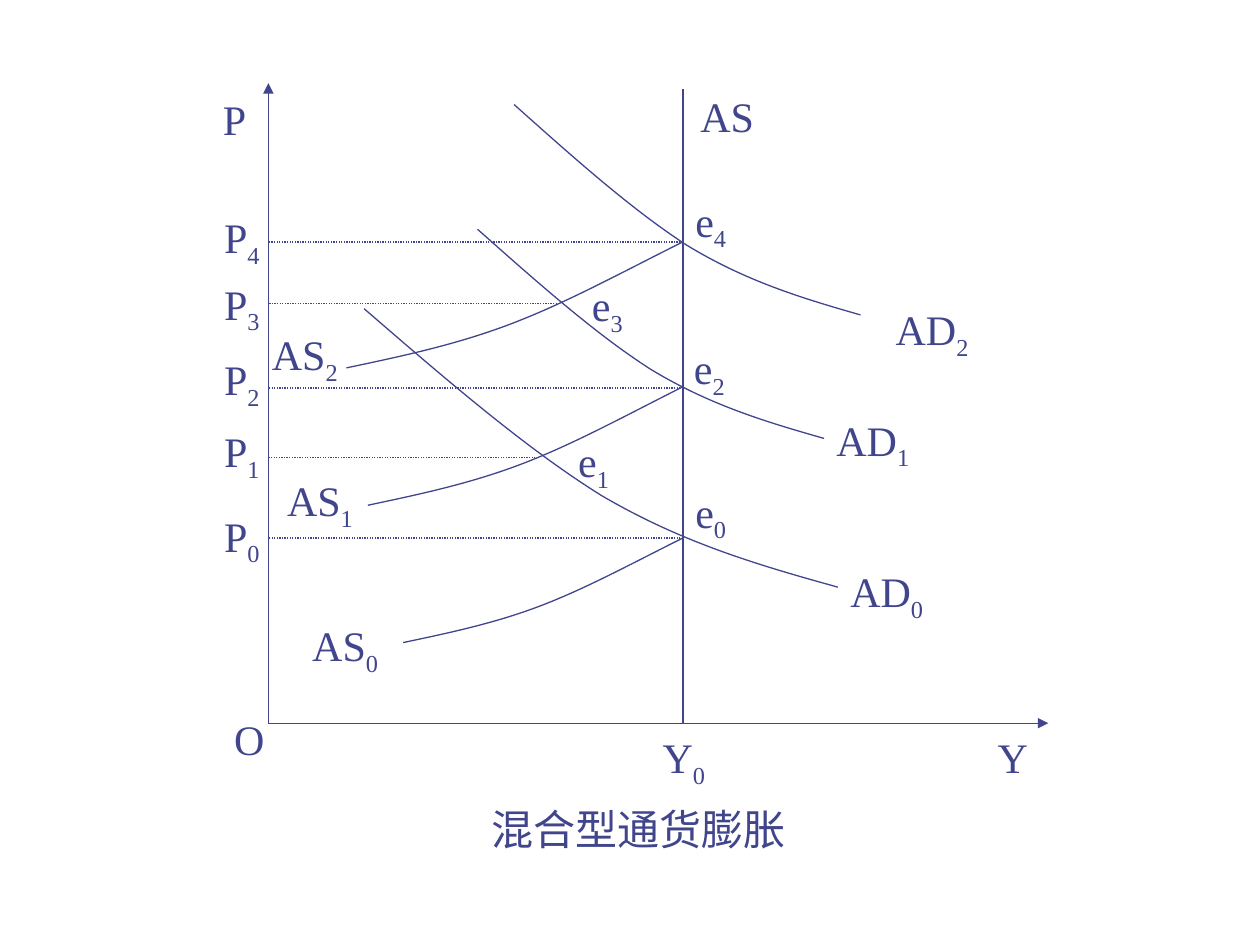
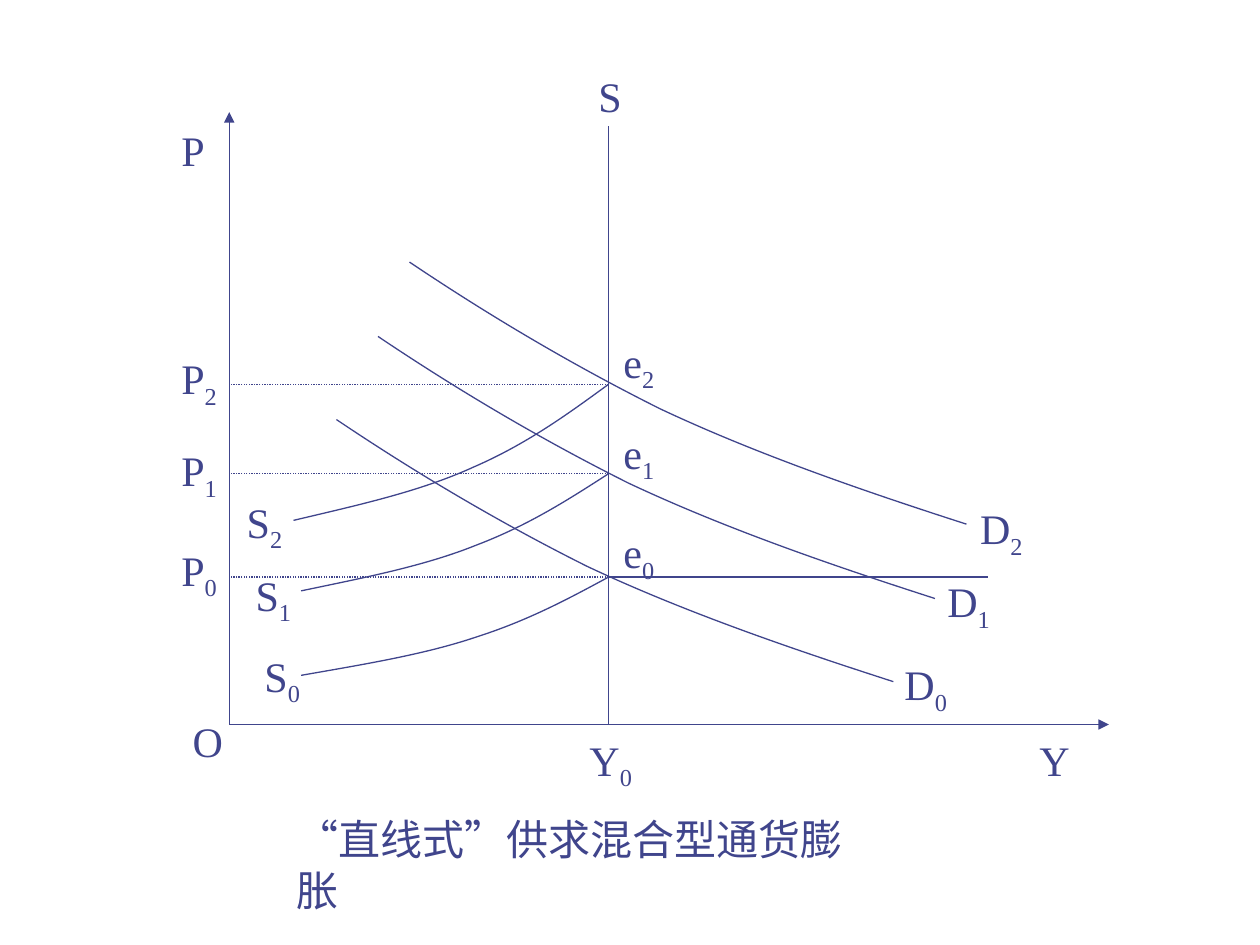
from pptx import Presentation
from pptx.dml.color import RGBColor
from pptx.enum.dml import MSO_LINE
from pptx.enum.lang import MSO_LANGUAGE_ID
from pptx.enum.shapes import MSO_CONNECTOR
from pptx.enum.text import MSO_ANCHOR, MSO_AUTO_SIZE, PP_ALIGN
from pptx.oxml.ns import qn
from pptx.util import Inches, Pt
from lxml import etree

# Shared style
INK = RGBColor(0x40, 0x45, 0x8C)
FONT = "Times New Roman"
TEXT_SIZE = Pt(24)
LINE_WIDTH = Pt(0.75)
LETTER_WIDTHS = {"P": 0.19, "S": 0.19, "e": 0.16}  # any other capital: 0.25
TITLE_ONLY = 5

# Curve outlines in a unit box: a start, then two Bezier segments
DEMAND_STEEP = [(0, 0), (0.17, 0.25), (0.34, 0.5), (0.5, 0.67),
                (0.67, 0.84), (0.83, 0.92), (1, 1)]
DEMAND_FLAT = [(0, 0), (0.14, 0.2), (0.29, 0.39), (0.45, 0.56),
               (0.62, 0.73), (0.81, 0.87), (1, 1)]
SUPPLY_GENTLE = [(0, 0), (0.16, 0.09), (0.32, 0.18), (0.48, 0.34),
                 (0.65, 0.51), (0.82, 0.76), (1, 1)]
SUPPLY_BENT = [(0, 0), (0.2, 0.11), (0.4, 0.21), (0.57, 0.39),
               (0.74, 0.56), (0.87, 0.78), (1, 1)]


def style_line(line):
    line.color.rgb = INK
    line.width = LINE_WIDTH


def style_run(r):
    r.font.name = FONT
    r.font.size = TEXT_SIZE
    r.font.color.rgb = INK


def add_line(s, x1, y1, x2, y2, dotted=False, arrow=False):
    line = s.shapes.add_connector(MSO_CONNECTOR.STRAIGHT, Inches(x1), Inches(y1),
                                  Inches(x2), Inches(y2))
    style_line(line.line)
    if dotted:
        line.line.dash_style = MSO_LINE.ROUND_DOT
    sp_pr = line._element.spPr
    if arrow:
        etree.SubElement(sp_pr.find(qn("a:ln")), qn("a:tailEnd"), type="triangle")
    etree.SubElement(sp_pr, qn("a:effectLst"))


def bend_segments(sp):
    """Turn every three straight segments into one Bezier segment."""
    outline = sp._element.spPr.find(".//" + qn("a:path"))
    segments = outline.findall(qn("a:lnTo"))
    for i in range(0, len(segments), 3):
        curve = etree.SubElement(outline, qn("a:cubicBezTo"))
        for segment in segments[i:i + 3]:
            curve.append(segment[0])
            outline.remove(segment)


def add_curve(s, outline, x1, y1, x2, y2):
    """Stretch a unit outline between two points."""
    points = [(Inches(x1 + u * (x2 - x1)), Inches(y1 + v * (y2 - y1)))
              for u, v in outline]
    builder = s.shapes.build_freeform(*points[0])
    builder.add_line_segments(points[1:], close=False)
    sp = builder.convert_to_shape()
    bend_segments(sp)
    sp.fill.background()
    sp.shadow.inherit = False
    style_line(sp.line)


def add_label(s, left, top, letters, index=""):
    """A symbol with an optional subscript, in a box fitted to it."""
    width = 0.2 + sum(LETTER_WIDTHS.get(c, 0.25) for c in letters)
    width += 0.1 if index else 0
    sp = s.shapes.add_textbox(Inches(left), Inches(top), Inches(width),
                              Inches(0.56 if index else 0.5))
    tf = sp.text_frame
    tf.word_wrap = False
    tf.auto_size = MSO_AUTO_SIZE.SHAPE_TO_FIT_TEXT
    p = tf.paragraphs[0]
    for text in filter(None, (letters, index)):
        r = p.add_run()
        r.text = text
        style_run(r)
        if text == index:
            r.font._element.set("baseline", "-25000")


def add_indexed_labels(s, letters, places):
    """Labels numbered from 0, one for each place."""
    for i, (left, top) in enumerate(places):
        add_label(s, left, top, letters, str(i))


def add_caption(s, text, left, top, width, height):
    sp = s.shapes.title
    sp.left, sp.top = Inches(left), Inches(top)
    sp.width, sp.height = Inches(width), Inches(height)
    tf = sp.text_frame
    tf.word_wrap = True
    tf.auto_size = MSO_AUTO_SIZE.NONE
    tf.vertical_anchor = MSO_ANCHOR.TOP
    p = tf.paragraphs[0]
    p.alignment = PP_ALIGN.LEFT
    r = p.add_run()
    r.text = text
    style_run(r)
    r.font.language_id = MSO_LANGUAGE_ID.SIMPLIFIED_CHINESE


def add_axes(s, x, y, top, right):
    add_line(s, x, y, x, top, arrow=True)
    add_line(s, x, y, right, y, arrow=True)


def draw_mixed_inflation(s):
    axis_x, axis_y, full_output = 2.13, 5.74, 5.42
    add_axes(s, axis_x, axis_y, 0.66, 8.32)
    add_line(s, full_output, 0.71, full_output, axis_y)

    # Demand and supply curves, numbered from 0
    for x1, y1, x2, y2 in [(2.89, 2.45, 6.65, 4.66), (3.79, 1.82, 6.54, 3.48),
                           (4.08, 0.83, 6.83, 2.5)]:
        add_curve(s, DEMAND_STEEP, x1, y1, x2, y2)
    for x, y, price in [(3.2, 5.1, 4.27), (2.92, 4.01, 3.07), (2.75, 2.92, 1.92)]:
        add_curve(s, SUPPLY_GENTLE, x, y, full_output, price)

    # Price levels P0 to P4
    for x, price in [(5.4, 4.27), (4.27, 3.63), (5.4, 3.08), (4.44, 2.41), (5.42, 1.92)]:
        add_line(s, x, price, axis_x, price, dotted=True)

    # Labels
    add_indexed_labels(s, "P", [(1.68, y) for y in (4, 3.33, 2.76, 2.16, 1.63)])
    add_indexed_labels(s, "e", [(5.42, 3.81), (4.49, 3.41), (5.41, 2.67),
                                (4.6, 2.17), (5.42, 1.5)])
    add_indexed_labels(s, "AD", [(6.65, 4.44), (6.54, 3.24), (7.01, 2.36)])
    add_indexed_labels(s, "AS", [(2.38, 4.87), (2.18, 3.72), (2.06, 2.56)])
    add_indexed_labels(s, "Y", [(5.16, 5.76)])
    for left, top, letters in [(1.67, 0.69, "P"), (1.76, 5.61, "O"),
                               (7.82, 5.76, "Y"), (5.46, 0.67, "AS")]:
        add_label(s, left, top, letters)
    add_caption(s, "混合型通货膨胀", 3.8, 6.33, 2.6, 0.5)


def draw_straight_line_inflation(s):
    axis_x, axis_y, full_output = 1.82, 5.75, 4.83
    prices = [4.58, 3.76, 3.05]
    add_axes(s, axis_x, axis_y, 0.89, 8.8)
    add_line(s, full_output, 1, full_output, axis_y)

    # Parallel demand curves, and supply curves ending at each price
    for x, y in [(2.67, 3.33), (3, 2.67), (3.25, 2.08)]:
        add_curve(s, DEMAND_FLAT, x, y, x + 4.42, y + 2.08)
    for (x, y), price in zip([(2.39, 5.36), (2.39, 4.69), (2.33, 4.13)], prices):
        add_curve(s, SUPPLY_BENT, x, y, full_output, price)
        add_line(s, full_output, price, axis_x, price, dotted=True)
    add_line(s, full_output, prices[0], 7.84, prices[0])

    # Labels
    add_indexed_labels(s, "P", [(1.34, y) for y in (4.27, 3.48, 2.75)])
    add_indexed_labels(s, "e", [(4.85, y) for y in (4.13, 3.34, 2.62)])
    add_indexed_labels(s, "D", [(7.08, 5.18), (7.42, 4.52), (7.68, 3.94)])
    add_indexed_labels(s, "S", [(2, 5.11), (1.93, 4.47), (1.86, 3.89)])
    add_indexed_labels(s, "Y", [(4.58, 5.78)])
    for left, top, letters in [(1.34, 0.94, "P"), (1.43, 5.63, "O"),
                               (8.15, 5.78, "Y"), (4.65, 0.51, "S")]:
        add_label(s, left, top, letters)
    add_caption(s, "“直线式”供求混合型通货膨胀", 2.25, 6.41, 4.65, 0.92)


def main():
    prs = Presentation()
    prs.slide_width, prs.slide_height = Inches(10), Inches(7.5)
    for draw in (draw_mixed_inflation, draw_straight_line_inflation):
        draw(prs.slides.add_slide(prs.slide_layouts[TITLE_ONLY]))
    prs.save("out.pptx")


if __name__ == "__main__":
    main()
